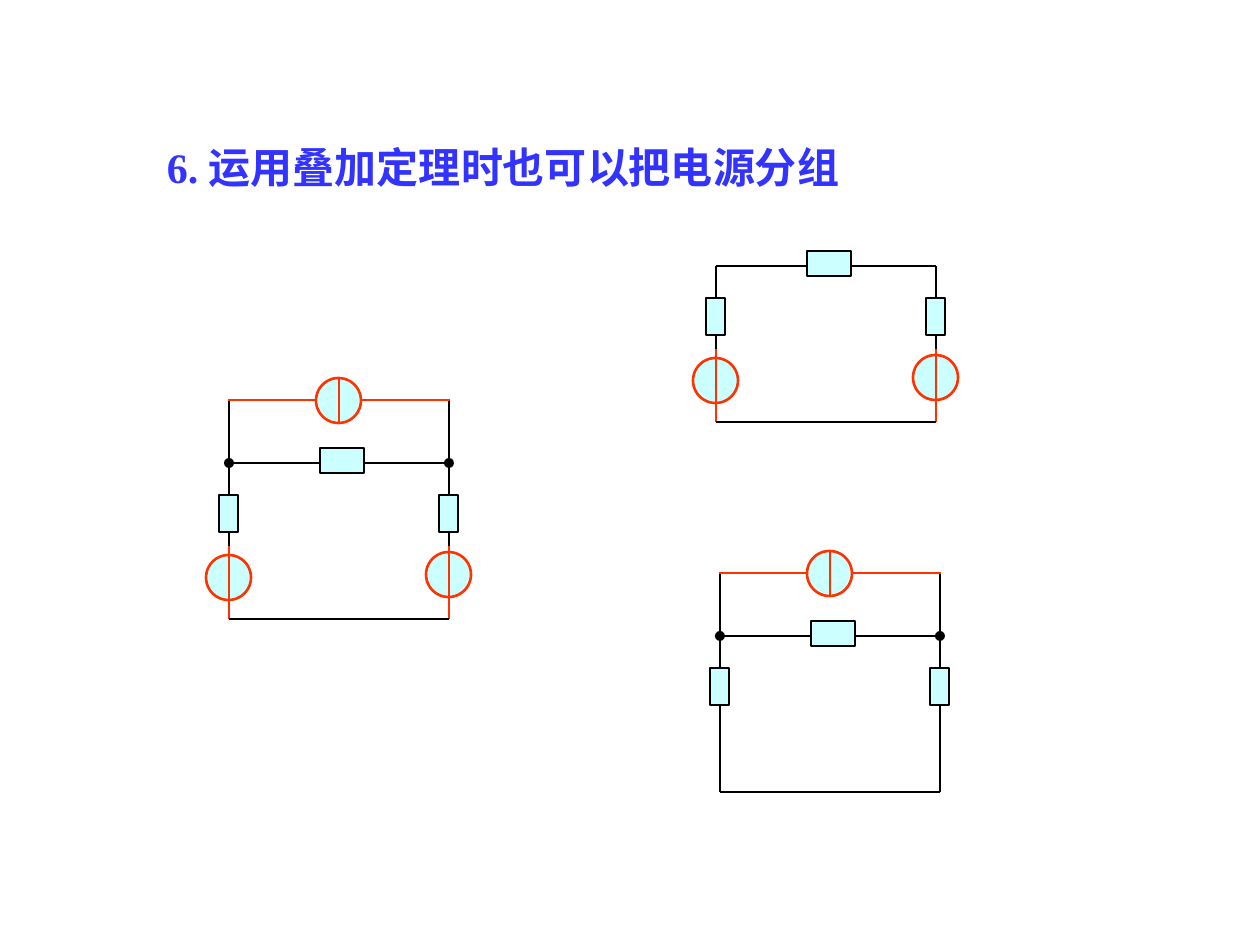
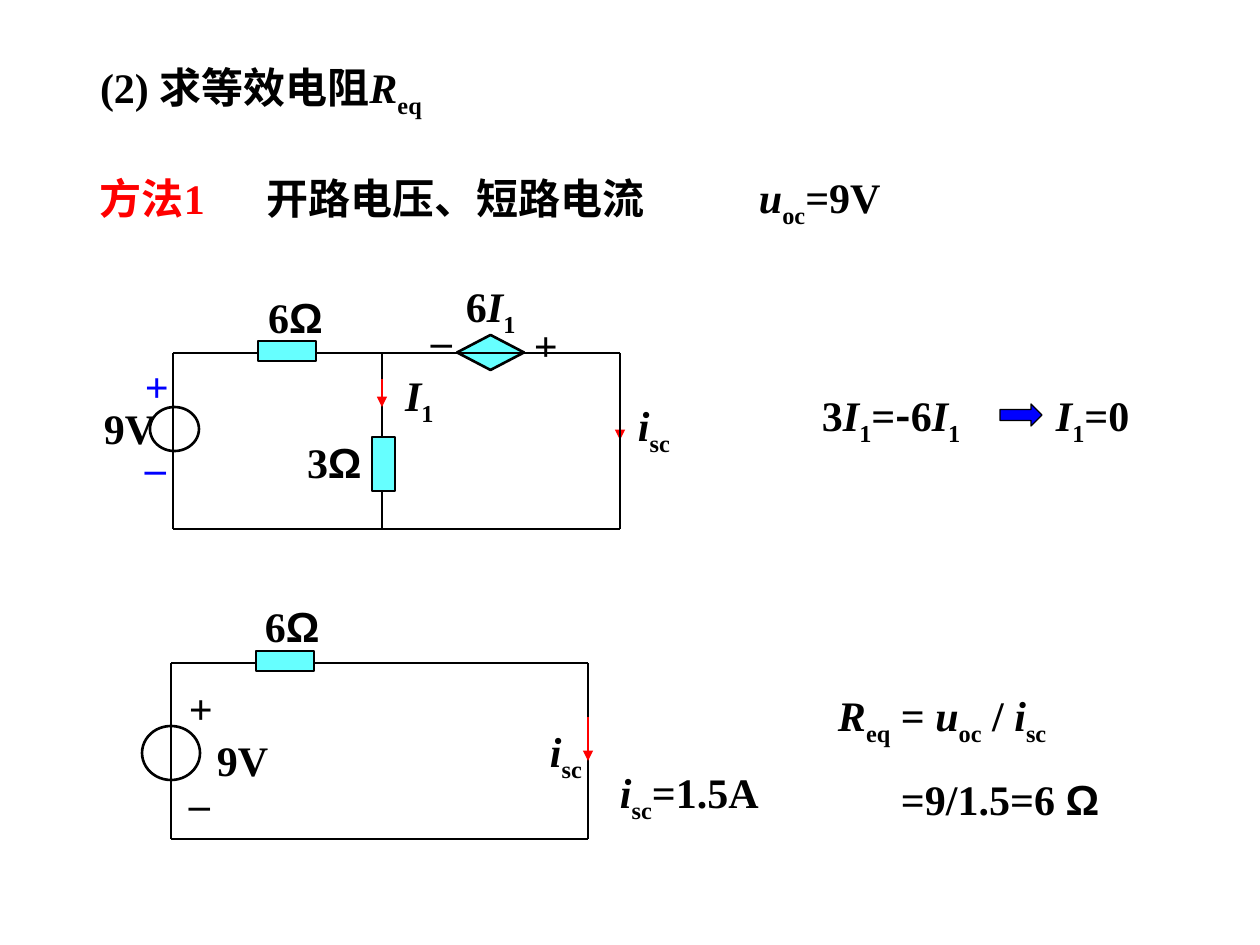
"""Build two slides on superposition and equivalent resistance."""
from lxml.etree import SubElement
from pptx import Presentation
from pptx.dml.color import RGBColor
from pptx.enum.shapes import MSO_CONNECTOR, MSO_SHAPE
from pptx.enum.text import MSO_ANCHOR, MSO_AUTO_SIZE, PP_ALIGN
from pptx.oxml.ns import qn
from pptx.util import Inches, Pt

HUES = {"ink": "000000", "title": "3333FF", "blue": "0000FF", "red": "FF0000",
        "wire": "FF3300", "pale": "CCFFFF", "cyan": "66FFFF"}
FACE, HAN, SANS = "Times New Roman", "Noto Sans CJK SC", "Arial"
FONTS = {"@": SANS, "~": HAN}
SCALE = Inches(1) / 126

# Marks on a run: / italic, _ subscript, @ and ~ another font
HEADS = [
    ((154, 125, 753, 73), "title", 1.2, "6. 运用叠加定理时也可以把电源分组"),
    ((87, 55, 451, 69), "ink", 1, "(2) 求等效电阻|/R|_eq"),
]
# Left node x, y, current source, voltage sources
NETS = [(229, 463, True, True), (716, 266, False, True), (720, 636, True, False)]
# Left, top, width, source circle
LOOPS = [(173, 353, 447, (150, 407, 49, 44)), (171, 663, 417, (142, 726, 58, 54))]
# Inset, then box, colour and text
NOTES = {
    13: [
        ((87, 166, 150, 63), "red", "方法1"),
        ((254, 166, 422, 63), "ink", "开路电压、短路电流"),
        ((746, 165, 163, 69), "ink", "/u|_oc|=9V"),
        ((809, 383, 221, 69), "ink", "3|/I|_1|=|~-|6|/I|_1"),
        ((1043, 383, 116, 69), "ink", "/I|_1|=0"),
        ((607, 760, 181, 69), "ink", "/i|_sc|=1.5A"),
        ((825, 683, 310, 146), "ink",
         "/R|_eq| = |/u|_oc| / |/i|_sc\n=9/1.5=6 |@Ω"),
    ],
    11: [
        ((394, 364, 68, 69), "ink", "/I|_1"),
        ((134, 355, 77, 62), "blue", "+"),
        ((134, 436, 40, 62), "blue", "–"),
        ((257, 286, 110, 62), "ink", "6|@Ω"),
        ((93, 397, 101, 62), "ink", "9V"),
        ((296, 431, 110, 62), "ink", "3|@Ω"),
        ((455, 275, 98, 69), "ink", "6|/I|_1"),
        ((627, 394, 112, 69), "ink", "/i|_sc"),
    ],
    20: [
        ((514, 309, 48, 71), "ink", "+"),
        ((411, 304, 57, 71), "ink", "–"),
    ],
    18: [
        ((247, 591, 96, 68), "ink", "6|@Ω"),
        ((171, 673, 38, 68), "ink", "+"),
        ((171, 769, 48, 68), "ink", "–"),
        ((199, 726, 101, 68), "ink", "9V"),
        ((532, 717, 76, 76), "ink", "/i|_sc"),
    ],
}


def px(*vals):
    return [round(v * SCALE) for v in vals]


def rgb(hue):
    return RGBColor.from_string(HUES[hue])


def wire(slide, x1, y1, x2, y2, hue="ink", size=1.5, head=False):
    line = slide.shapes.add_connector(MSO_CONNECTOR.STRAIGHT, *px(x1, y1, x2, y2))
    line.line.color.rgb = rgb(hue)
    line.line.width = Pt(size)
    if head:
        SubElement(line.line._get_or_add_ln(), qn("a:tailEnd"), type="triangle")
    SubElement(line._element.spPr, qn("a:effectLst"))


def part(slide, kind, box, fill=None, hue="ink", size=1.5):
    item = slide.shapes.add_shape(getattr(MSO_SHAPE, kind), *px(*box))
    item.shadow.inherit = False
    if fill:
        item.fill.solid()
        item.fill.fore_color.rgb = rgb(fill)
    else:
        item.fill.background()
    if hue:
        item.line.color.rgb = rgb(hue)
        item.line.width = Pt(size)
    else:
        item.line.fill.background()
    return item


def write(frame, text, hue, pad=13, lead=1):
    frame.word_wrap = True
    frame.auto_size = MSO_AUTO_SIZE.NONE
    frame.vertical_anchor = MSO_ANCHOR.TOP
    frame.margin_left, frame.margin_right = px(pad, pad)
    frame.margin_top, frame.margin_bottom = px(pad / 2, pad / 2)
    for n, row in enumerate(text.split("\n")):
        para = frame.add_paragraph() if n else frame.paragraphs[0]
        para.alignment, para.line_spacing = PP_ALIGN.LEFT, lead
        font = para.font
        font.name, font.size, font.bold = FACE, Pt(24), True
        font.color.rgb = rgb(hue)
        SubElement(font._element, qn("a:ea"), typeface=HAN)
        if n:
            para.space_before = Pt(15)
            para._p.get_or_add_pPr().set("marL", str(px(63)[0]))
        for bit in row.split("|"):
            mark = bit[0] if bit[0] in "/_@~" else ""
            run = para.add_run()
            run.text = bit[len(mark):]
            if mark == "/":
                run.font.italic = True
            elif mark == "_":
                run._r.get_or_add_rPr().set("baseline", "-25000")
            elif mark:
                run.font.name = FONTS[mark]


def start(deck, box, hue, lead, text):
    slide = deck.slides.add_slide(deck.slide_layouts[5])
    title = slide.shapes.title
    title.left, title.top, title.width, title.height = px(*box)
    write(title.text_frame, text, hue, lead=lead)
    return slide


def net(slide, x, y, amps, volts):
    wide, low, join = 220, 156, 83
    top = y - 63 if amps else y
    for dx, dy in ((0, 92), (wide, 89)):
        end = join if volts else low
        wire(slide, x + dx, top, x + dx, y + end)
        if volts:
            part(slide, "OVAL", (x + dx - 23, y + dy, 45, 45), "pale", "wire")
            wire(slide, x + dx, y + join, x + dx, y + low, "wire")
        part(slide, "RECTANGLE", (x + dx - 10, y + 32, 19, 37), "pale")
        if amps:
            part(slide, "OVAL", (x + dx - 5, y - 5, 10, 10), "ink", None)
    for dy in (0, low):
        wire(slide, x, y + dy, x + wide, y + dy)
    part(slide, "RECTANGLE", (x + 91, y - 15, 44, 25), "pale")
    if amps:
        part(slide, "OVAL", (x + 87, top - 22, 45, 45), "pale", "wire")
        wire(slide, x + 110, top - 21, x + 110, top + 23, "wire")
        for a, b in ((-1, 87), (132, wide + 1)):
            wire(slide, x + a, top, x + b, top, "wire")


def loop(slide, x, y, wide, ring):
    right, low = x + wide, y + 176
    part(slide, "OVAL", ring)
    part(slide, "RECTANGLE", (x + 85, y - 12, 58, 20), "cyan")
    for ends in ((x, y, x + 85, y), (x + 143, y, right, y), (x, low, right, low),
                 (x, y, x, low), (right, y, right, low)):
        wire(slide, *ends)


def main():
    deck = Presentation()
    deck.slide_width, deck.slide_height = Inches(10), Inches(7.5)
    first, second = [start(deck, *head) for head in HEADS]
    for item in NETS:
        net(first, *item)

    part(second, "DIAMOND", (457, 335, 67, 35), "cyan")
    wire(second, 620, 412, 620, 440, "red", 1, True)
    for item in LOOPS:
        loop(second, *item)
    wire(second, 382, 353, 382, 529)
    part(second, "RECTANGLE", (372, 437, 23, 54), "cyan")
    wire(second, 382, 379, 382, 407, "red", head=True)
    wire(second, 588, 717, 588, 761, "red", head=True)
    part(second, "RIGHT_ARROW", (1000, 404, 42, 22), "blue", size=0.75)
    for pad, rows in NOTES.items():
        for box, hue, text in rows:
            note = second.shapes.add_textbox(*px(*box))
            write(note.text_frame, text, hue, pad)
    deck.save("out.pptx")


if __name__ == "__main__":
    main()
